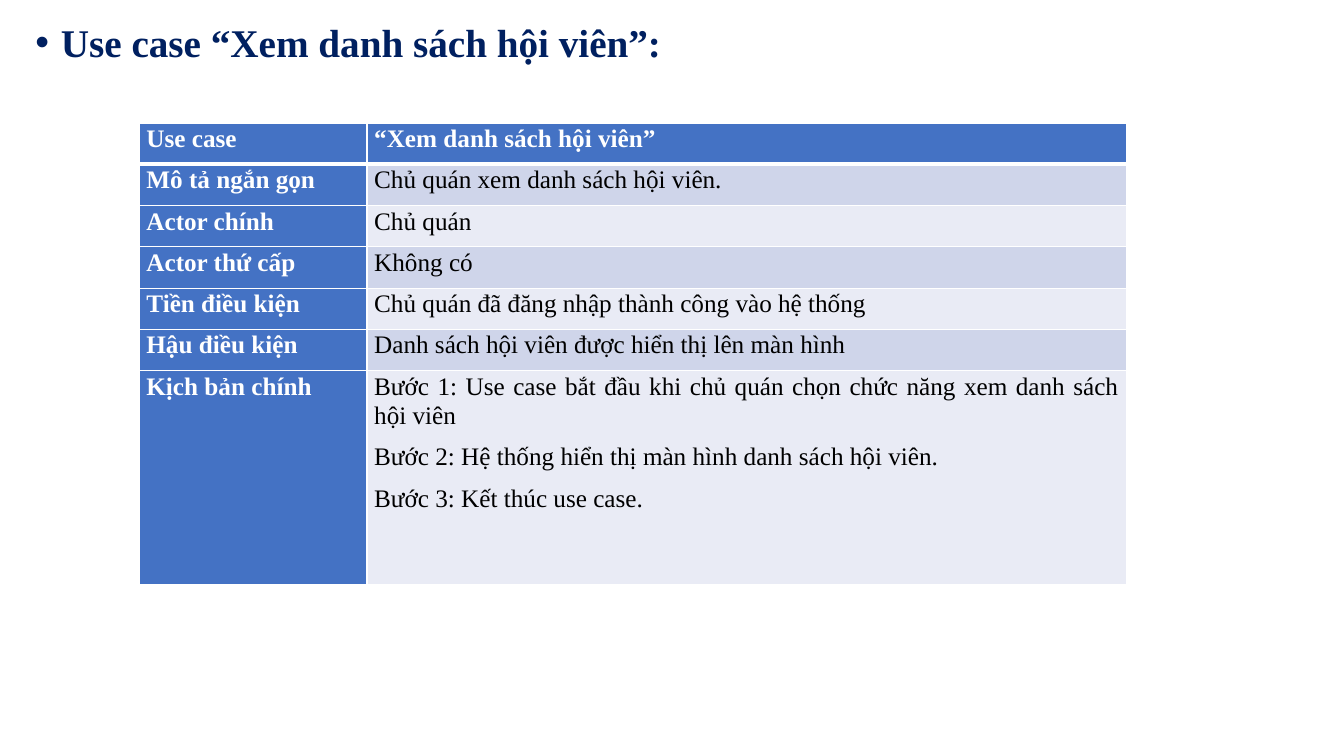
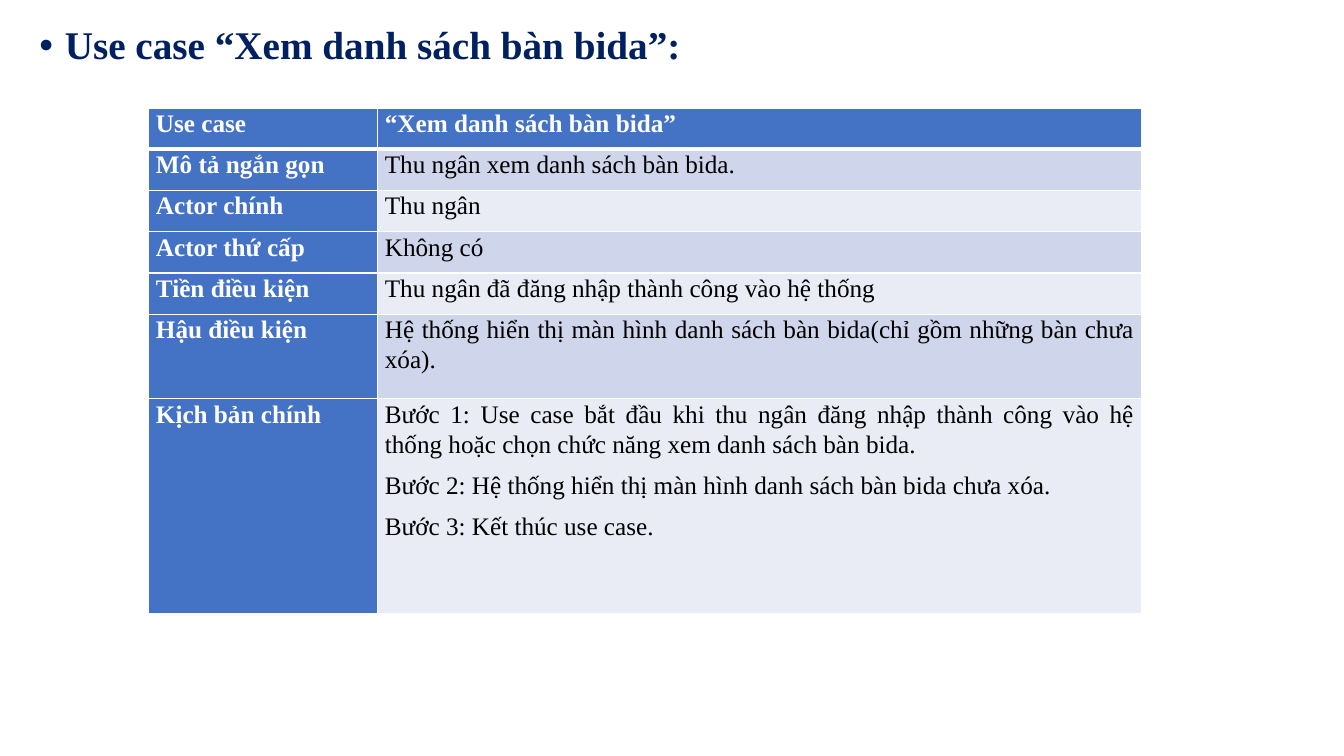
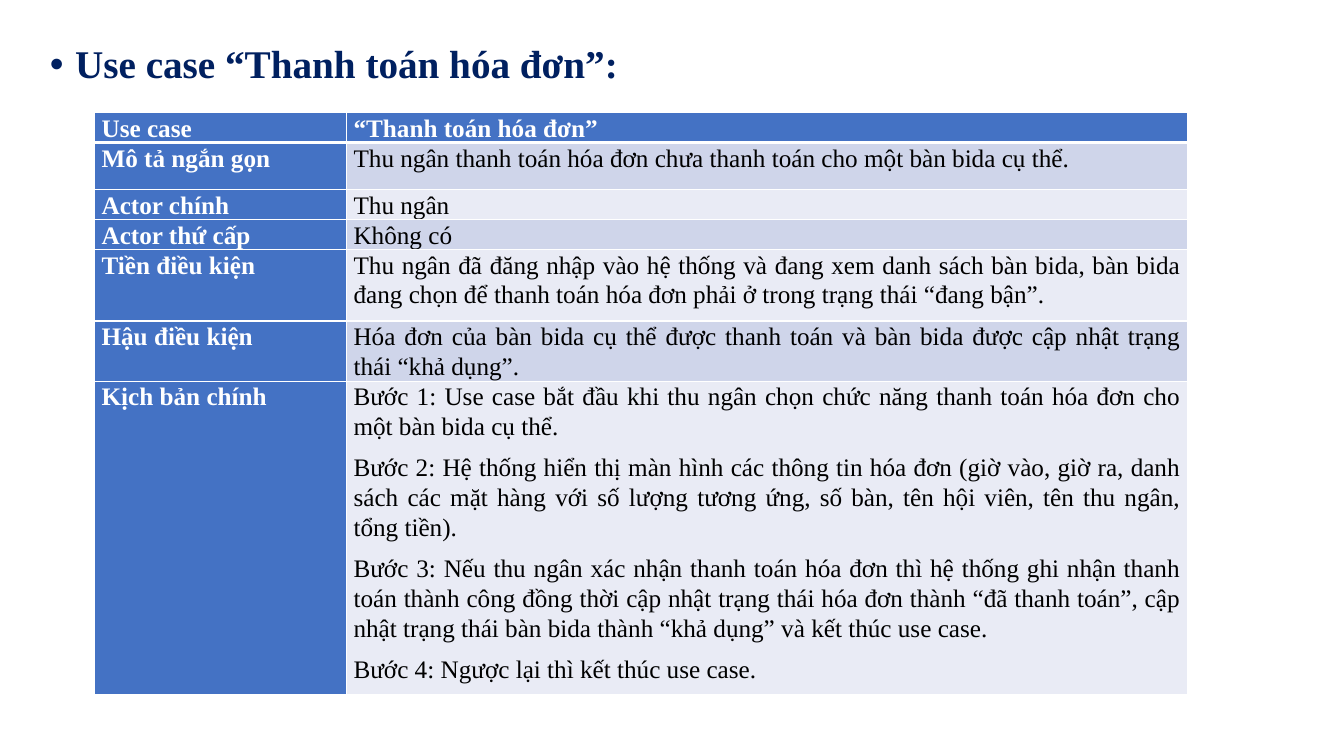
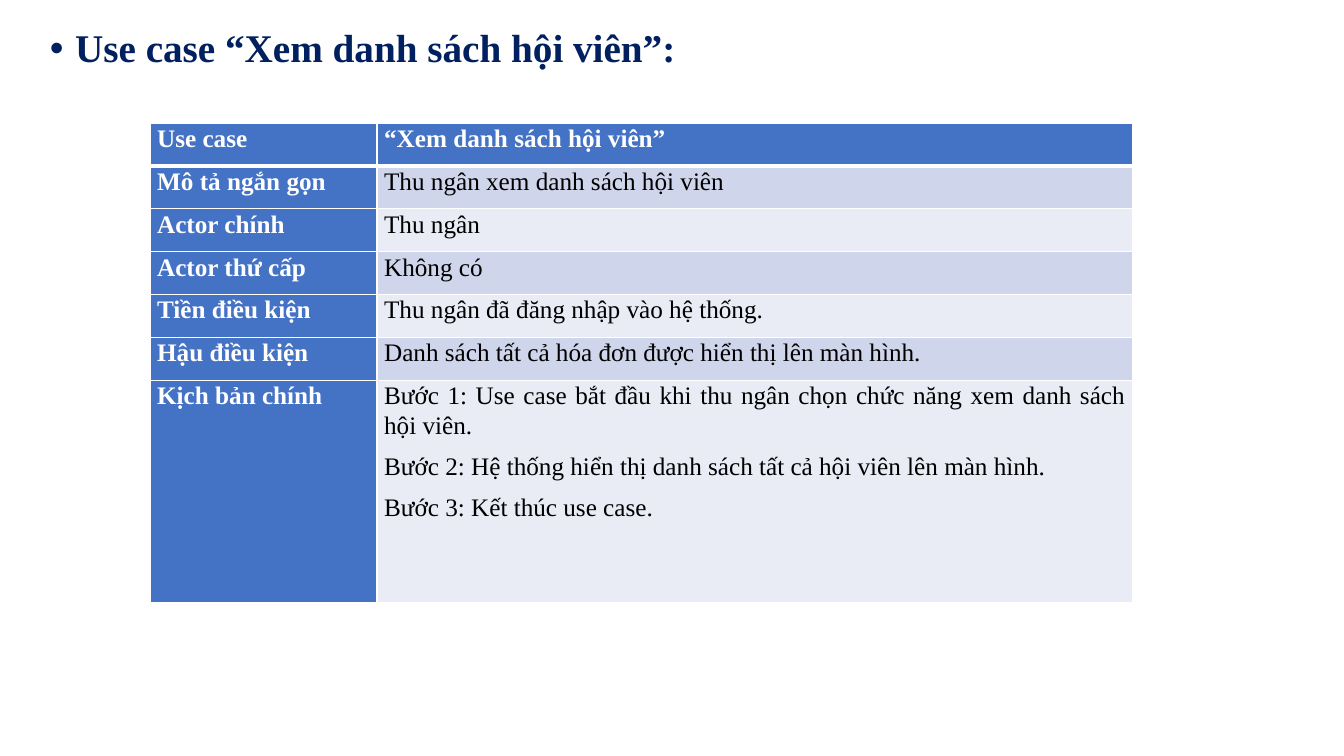
import pptx
import pptx.dml.color
import pptx.enum.text
import pptx.oxml
import pptx.oxml.ns
import pptx.util

Cm = pptx.util.Cm
Pt = pptx.util.Pt
Align = pptx.enum.text.PP_ALIGN

COLORS = {
    "title": "002060",
    "head": "4472C4",
    "odd": "CFD5EA",
    "even": "E9EBF5",
    "text": "000000",
    "white": "FFFFFF",
}
FONT = "Times New Roman"
LABELS = ["Use case", "Mô tả ngắn gọn", "Actor chính", "Actor thứ cấp",
          "Tiền điều kiện", "Hậu điều kiện", "Kịch bản chính"]


def color(name):
    return pptx.dml.color.RGBColor.from_string(COLORS[name])


def node(tag, **attrs):
    item = pptx.oxml.parse_xml(f"<a:{tag} {pptx.oxml.ns.nsdecls('a')}/>")
    for key, value in attrs.items():
        item.set(key, str(value))
    return item


class Deck:
    def __init__(self):
        self.show = pptx.Presentation()
        self.show.slide_width = Cm(33.87)
        self.show.slide_height = Cm(19.05)
        self.slide = None

    def start(self):
        layout = self.show.slide_layouts.get_by_name("Title Only")
        self.slide = self.show.slides.add_slide(layout)

    def add_run(self, para, text, size, tone, bold):
        run = para.add_run()
        run.text = text
        font = run.font
        font.name, font.size, font.bold = FONT, Pt(size), bold
        font.color.rgb = color(tone)

    def title(self, text, left, top):
        box = self.slide.shapes.title
        box.left, box.top = Cm(left), Cm(top)
        box.width, box.height = Cm(30), Cm(1.4)
        frame = box.text_frame
        frame.auto_size = pptx.enum.text.MSO_AUTO_SIZE.NONE
        frame.vertical_anchor = pptx.enum.text.MSO_ANCHOR.TOP
        para = frame.paragraphs[0]
        para.alignment, para.line_spacing = Align.LEFT, 0.9
        props = para._p.get_or_add_pPr()
        props.set("marL", str(Cm(0.64)))
        props.set("indent", str(-Cm(0.64)))
        props.append(node("buFont", typeface="Arial"))
        props.append(node("buChar", char="•"))
        self.add_run(para, text, 28, "title", True)

    def edge(self, cell, side, width):
        line = node("ln" + side, w=Pt(width))
        fill = node("solidFill")
        fill.append(node("srgbClr", val=COLORS["white"]))
        line.append(fill)
        cell._tc.get_or_add_tcPr().append(line)

    def cell(self, cell, lines, row, col):
        cell.margin_left = cell.margin_right = Cm(0.18)
        cell.margin_top = cell.margin_bottom = 0
        for side in "LRTB":
            thick = (side, row) in (("B", 0), ("T", 1))
            self.edge(cell, side, 3 if thick else 1)
        head = row == 0 or col == 0
        cell.fill.solid()
        cell.fill.fore_color.rgb = color(
            "head" if head else "odd" if row % 2 else "even")
        frame = cell.text_frame
        for index, text in enumerate(lines):
            para = frame.add_paragraph() if index else frame.paragraphs[0]
            para.alignment = Align.JUSTIFY
            para.line_spacing, para.space_after = 1.07, Pt(8)
            self.add_run(para, text, 18, "white" if head else "text", head)

    def table(self, left, top, widths, heights, values):
        """Draw the shared labels beside values; a list gives several paragraphs."""
        grid = self.slide.shapes.add_table(
            len(LABELS), 2, Cm(left), Cm(top),
            Cm(sum(widths)), Cm(sum(heights))).table
        for col, width in enumerate(widths):
            grid.columns[col].width = Cm(width)
        for row, pair in enumerate(zip(LABELS, values)):
            grid.rows[row].height = Cm(heights[row])
            for col, text in enumerate(pair):
                lines = [text] if isinstance(text, str) else text
                self.cell(grid.cell(row, col), lines, row, col)


CASES = [
    {
        "name": "“Xem danh sách hội viên”",
        "title": (0.64, 0.46),
        "place": (3.51, 3.1),
        "widths": [5.74, 19.13],
        "heights": [1.04] * 6 + [5.38],
        "values": [
            "Chủ quán xem danh sách hội viên.",
            "Chủ quán",
            "Không có",
            "Chủ quán đã đăng nhập thành công vào hệ thống",
            "Danh sách hội viên được hiển thị lên màn hình",
            ["Bước 1: Use case bắt đầu khi chủ quán chọn chức năng xem danh sách hội viên",
             "Bước 2: Hệ thống hiển thị màn hình danh sách hội viên.",
             "Bước 3: Kết thúc use case."],
        ],
    },
    {
        "name": "“Xem danh sách bàn bida”",
        "title": (0.74, 0.53),
        "place": (3.75, 2.72),
        "widths": [5.77, 19.25],
        "heights": [1.04] * 5 + [2.13, 5.41],
        "values": [
            "Thu ngân xem danh sách bàn bida.",
            "Thu ngân",
            "Không có",
            "Thu ngân đã đăng nhập thành công vào hệ thống",
            "Hệ thống hiển thị màn hình danh sách bàn bida(chỉ gồm những bàn chưa xóa).",
            ["Bước 1: Use case bắt đầu khi thu ngân đăng nhập thành công vào hệ thống "
             "hoặc chọn chức năng xem danh sách bàn bida.",
             "Bước 2: Hệ thống hiển thị màn hình danh sách bàn bida chưa xóa.",
             "Bước 3: Kết thúc use case."],
        ],
    },
    {
        "name": "“Thanh toán hóa đơn”",
        "title": (1, 1),
        "place": (2.38, 2.84),
        "widths": [6.35, 21.21],
        "heights": [0.74, 1.19, 0.74, 0.74, 1.8, 1.52, 7.9],
        "values": [
            "Thu ngân thanh toán hóa đơn chưa thanh toán cho một bàn bida cụ thể.",
            "Thu ngân",
            "Không có",
            "Thu ngân đã đăng nhập vào hệ thống và đang xem danh sách bàn bida, "
            "bàn bida đang chọn để thanh toán hóa đơn phải ở trong trạng thái “đang bận”.",
            "Hóa đơn của bàn bida cụ thể được thanh toán và bàn bida được cập nhật "
            "trạng thái “khả dụng”.",
            ["Bước 1: Use case bắt đầu khi thu ngân chọn chức năng thanh toán hóa đơn "
             "cho một bàn bida cụ thể.",
             "Bước 2: Hệ thống hiển thị màn hình các thông tin hóa đơn (giờ vào, giờ ra, "
             "danh sách các mặt hàng với số lượng tương ứng, số bàn, tên hội viên, "
             "tên thu ngân, tổng tiền).",
             "Bước 3: Nếu thu ngân xác nhận thanh toán hóa đơn thì hệ thống ghi nhận "
             "thanh toán thành công đồng thời cập nhật trạng thái hóa đơn thành "
             "“đã thanh toán”, cập nhật trạng thái bàn bida thành “khả dụng” "
             "và kết thúc use case.",
             "Bước 4: Ngược lại thì kết thúc use case."],
        ],
    },
    {
        "name": "“Xem danh sách hội viên”",
        "title": (1, 0.6),
        "place": (3.78, 3.1),
        "widths": [5.72, 19.05],
        "heights": [1.08] * 6 + [5.61],
        "values": [
            "Thu ngân xem danh sách hội viên",
            "Thu ngân",
            "Không có",
            "Thu ngân đã đăng nhập vào hệ thống.",
            "Danh sách tất cả hóa đơn được hiển thị lên màn hình.",
            ["Bước 1: Use case bắt đầu khi thu ngân chọn chức năng xem danh sách hội viên.",
             "Bước 2: Hệ thống hiển thị danh sách tất cả hội viên lên màn hình.",
             "Bước 3: Kết thúc use case."],
        ],
    },
]


def main():
    deck = Deck()
    for case in CASES:
        deck.start()
        deck.title(f"Use case {case['name']}:", *case["title"])
        deck.table(*case["place"], case["widths"], case["heights"],
                   [case["name"]] + case["values"])
    deck.show.save("out.pptx")


if __name__ == "__main__":
    main()
